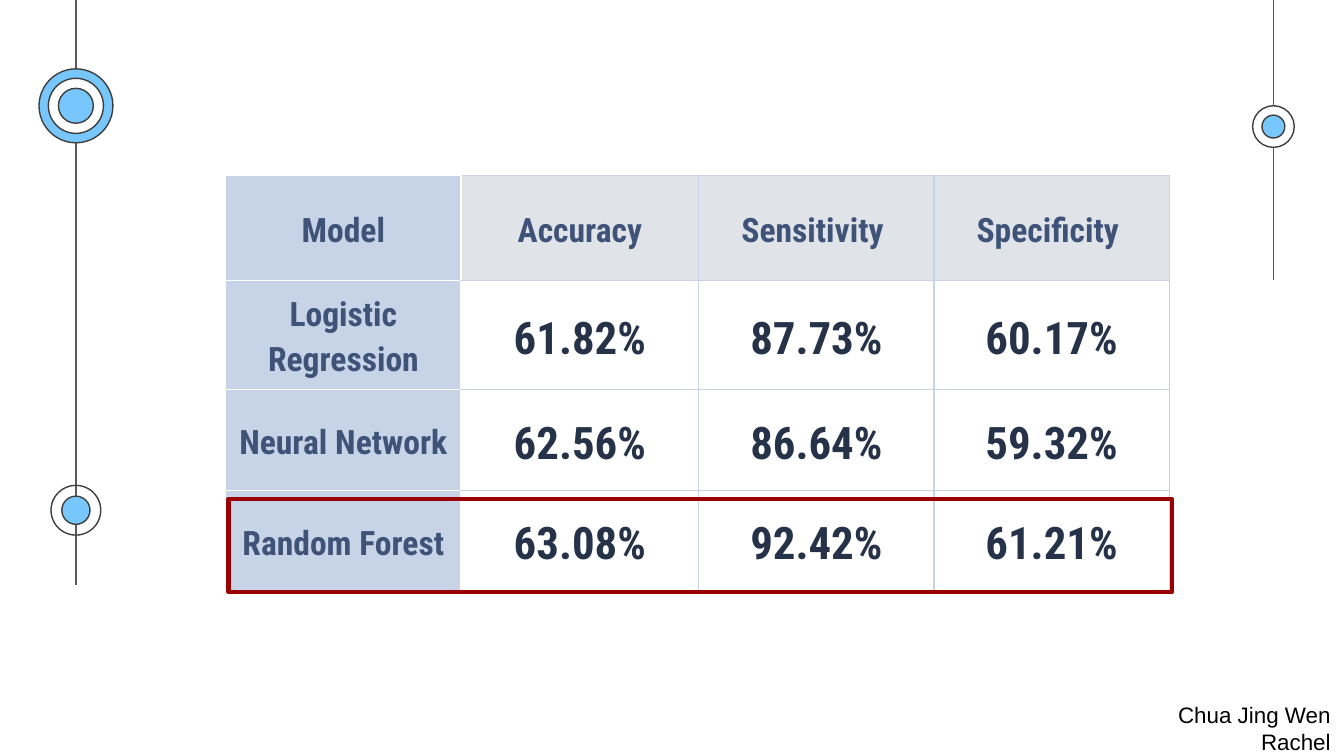
from dataclasses import dataclass

from lxml import etree
from pptx import Presentation
from pptx import util as u
from pptx.dml.color import RGBColor
from pptx.enum import shapes, text
from pptx.oxml import ns

SLIDE_WIDTH = u.Inches(10)
SLIDE_HEIGHT = SLIDE_WIDTH * 9 // 16
COLUMN, ROW = SLIDE_WIDTH / 100, SLIDE_HEIGHT / 100


@dataclass(frozen=True)
class Theme:
    heading_font: str = "Roboto Condensed"
    body_font: str = "Arial"
    label_size: float = 18
    value_size: float = 24
    credit_size: float = 12
    thin: float = 0.75
    thick: float = 2.25
    label: str = "3F5378"
    value: str = "263248"
    credit: str = "000000"
    model_fill: str = "C7D3E6"
    header_fill: str = "E0E4E9"
    rule: str = "C7D3E6"
    white: str = "FFFFFF"
    rail: str = "595959"
    ring: str = "3D3D3D"
    accent: str = "77C6FC"
    highlight: str = "990000"


@dataclass(frozen=True)
class Box:
    column: float
    row: float
    columns: float
    rows: float

    def emu(self):
        return (
            round(self.column * COLUMN),
            round(self.row * ROW),
            round(self.columns * COLUMN),
            round(self.rows * ROW),
        )


THEME = Theme()

RESULTS = [
    ("Model", "Accuracy", "Sensitivity ", "Specificity "),
    ("Logistic Regression", "61.82%", "87.73%", "60.17%"),
    ("Neural Network", "62.56%", "86.64%", "59.32%"),
    ("Random Forest ", "63.08%", "92.42%", "61.21%"),
]


def color(value):
    return RGBColor.from_string(value)


def style_paragraph(paragraph, name, size, value, bold=False):
    font = paragraph.font
    font.name, font.size, font.bold = name, u.Pt(size), bold
    font.color.rgb = color(value)


def add_outlined(slide, kind, geometry, fill, line, width):
    shape = slide.shapes.add_shape(kind, *geometry)
    shape.shadow.inherit = False
    if fill:
        shape.fill.solid()
        shape.fill.fore_color.rgb = color(fill)
    else:
        shape.fill.background()
    shape.line.color.rgb = color(line)
    shape.line.width = u.Pt(width)


def add_rail(slide, box, beads):
    left, top, width, height = box.emu()
    center = left + width // 2
    rail = slide.shapes.add_connector(
        shapes.MSO_CONNECTOR.STRAIGHT, center, top, center, top + height
    )
    rail.line.color.rgb = color(THEME.rail)
    rail.line.width = u.Pt(THEME.thin)
    etree.SubElement(rail._element.spPr, ns.qn("a:effectLst"))
    for row, rings in beads:
        middle = top + round(row * ROW)
        for columns, fill in rings:
            size = round(columns * COLUMN)
            geometry = (center - size // 2, middle - size // 2, size, size)
            add_outlined(slide, shapes.MSO_SHAPE.OVAL, geometry,
                         fill, THEME.ring, THEME.thin)


def set_borders(cell, sides):
    properties = cell._tc.get_or_add_tcPr()
    for side, value in sides.items():
        line = etree.SubElement(properties, ns.qn(f"a:ln{side}"),
                                w=str(u.Pt(THEME.thin)))
        fill = etree.SubElement(line, ns.qn("a:solidFill"))
        etree.SubElement(fill, ns.qn("a:srgbClr"), val=value)


def style_cell(cell, row, column):
    is_model, is_header = column == 0, row == 0
    sides = dict.fromkeys("LRTB", THEME.white if is_model else THEME.rule)
    if column == 1:
        sides["L"] = THEME.white
    set_borders(cell, sides)
    if is_model or is_header:
        cell.fill.solid()
        cell.fill.fore_color.rgb = color(
            THEME.model_fill if is_model else THEME.header_fill)
        size, value = THEME.label_size, THEME.label
    else:
        cell.fill.background()
        size, value = THEME.value_size, THEME.value
    cell.vertical_anchor = text.MSO_ANCHOR.MIDDLE
    cell.margin_left = cell.margin_right = u.Inches(0.1)
    cell.margin_top = cell.margin_bottom = u.Inches(0.07)
    paragraph = cell.text_frame.paragraphs[0]
    paragraph.alignment = text.PP_ALIGN.CENTER
    paragraph.line_spacing = 1.15
    style_paragraph(paragraph, THEME.heading_font, size, value, True)


def add_results(slide, box, results):
    table = slide.shapes.add_table(
        len(results), len(results[0]), *box.emu()).table
    table.horz_banding = False
    table.rows[0].height = round(13.87 * ROW)
    table.columns[1].width = round(17.7 * COLUMN)
    for row, values in enumerate(results):
        for column, value in enumerate(values):
            cell = table.cell(row, column)
            cell.text = value
            style_cell(cell, row, column)


def add_highlight(slide, box):
    add_outlined(slide, shapes.MSO_SHAPE.RECTANGLE, box.emu(),
                 None, THEME.highlight, THEME.thick)


def add_credit(slide, box, name):
    frame = slide.shapes.add_textbox(*box.emu()).text_frame
    frame.word_wrap = True
    frame.margin_left = frame.margin_right = u.Inches(0.1)
    frame.margin_top = frame.margin_bottom = u.Inches(0.1)
    paragraph = frame.paragraphs[0]
    paragraph.text = name
    paragraph.alignment = text.PP_ALIGN.RIGHT
    style_paragraph(paragraph, THEME.body_font, THEME.credit_size, THEME.credit)


def main():
    presentation = Presentation()
    presentation.slide_width = SLIDE_WIDTH
    presentation.slide_height = SLIDE_HEIGHT
    slide = presentation.slides.add_slide(presentation.slide_layouts[6])
    add_rail(slide, Box(2.9, 0, 5.5, 77.4), [
        (14, [(5.5, THEME.accent), (4.1, THEME.white), (2.6, THEME.accent)]),
        (67.5, [(3.7, None), (2.1, THEME.accent)]),
    ])
    add_rail(slide, Box(93.2, 0, 3.1, 37), [
        (16.75, [(3.1, THEME.white), (1.7, THEME.accent)]),
    ])
    add_results(slide, Box(16.8, 23.2, 70, 53.33), RESULTS)
    add_highlight(slide, Box(17, 66, 70.2, 12.3))
    add_credit(slide, Box(86.2, 91, 13.8, 7.5), "Chua Jing Wen Rachel")
    presentation.save("out.pptx")


if __name__ == "__main__":
    main()
